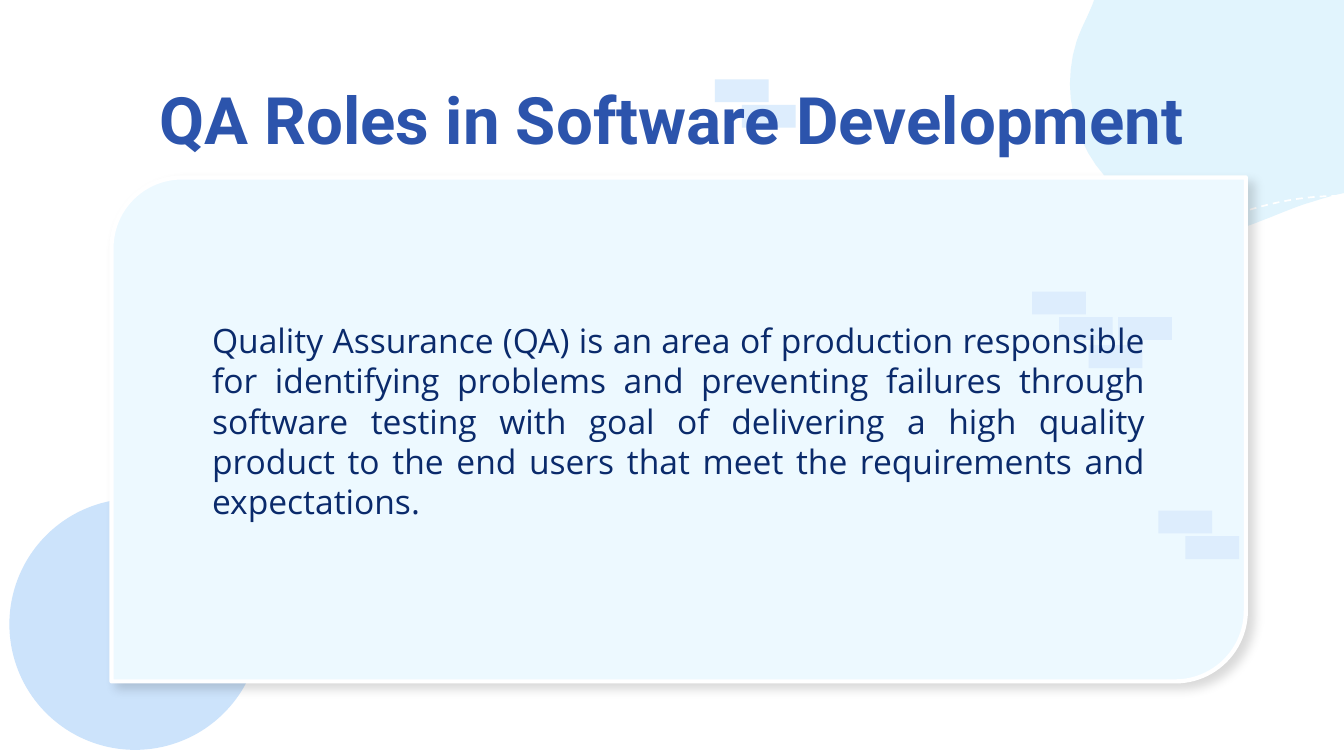
from lxml import etree
from pptx import Presentation
from pptx.dml.color import RGBColor
from pptx.enum.dml import MSO_LINE
from pptx.enum.shapes import MSO_SHAPE
from pptx.enum.text import MSO_ANCHOR, PP_ALIGN
from pptx.oxml.ns import qn
from pptx.util import Inches, Pt

RECTANGLE, OVAL = MSO_SHAPE.RECTANGLE, MSO_SHAPE.OVAL
CARD = MSO_SHAPE.ROUND_2_DIAG_RECTANGLE
TOP, MIDDLE = MSO_ANCHOR.TOP, MSO_ANCHOR.MIDDLE
CENTER, JUSTIFY = PP_ALIGN.CENTER, PP_ALIGN.JUSTIFY
DASH = MSO_LINE.DASH

TITLE = "QA Roles in Software Development"
BODY = (
    "Quality Assurance (QA) is an area of production responsible for "
    "identifying problems and preventing failures through software testing "
    "with goal of delivering a high quality product to the end users that "
    "meet the requirements and expectations."
)

THEME = {
    "blob": "E1F4FD", "disc": "CCE3FB", "card": "EDF9FF", "brick": "DDEDFD",
    "edge": "FFFFFF", "edge_width": 2.25, "dash_width": 0.9,
    "title": {"font": "Roboto", "size": 35, "color": "2C54AC", "bold": True},
    "body": {"font": "Open Sans", "size": 18, "color": "0A2A6B", "bold": False},
}

# Inches: left, top, width, height
SLIDE_SIZE = (10, 10 * 9 / 16)
DISC_BOX = (0.07, 3.71, 1.87, 1.87)
CARD_BOX = (0.83, 1.32, 8.44, 3.75)
BODY_BOX = (1.48, 2.27, 7.14, 1.72)
TITLE_BOX = (0.78, 0.49, 8.44, 0.63)

# Each wall of bricks: its corner, then the column and row of every brick
BRICK_SIZE = (0.4, 0.17)
BRICK_STEP = (0.2, 0.19)
WALLS = [
    ((8.62, 3.8), [(1, 1), (0, 0)]),
    ((5.32, 0.59), [(1, 1), (0, 0)]),
    ((7.68, 2.17), [(3.2, 1), (1, 1), (2.1, 2.1), (0, 0)]),
]

# Start point, then Bezier segments: two control points and an end point
CURVE_UNITS = 1000  # per inch
BLOB_START = (10.71, -1.67)
BLOB_CURVES = [
    ((10.94, -1.67), (11.16, -1.57), (11.31, -1.4)),
    ((11.54, -1.15), (11.58, -0.79), (11.54, -0.53)),
    ((11.51, -0.34), (11.45, -0.16), (11.47, 0.03)),
    ((11.49, 0.15), (11.54, 0.26), (11.58, 0.38)),
    ((11.67, 0.66), (11.59, 0.97), (11.4, 1.18)),
    ((11.25, 1.36), (11.05, 1.45), (10.8, 1.45)),
    ((10.67, 1.45), (10.53, 1.42), (10.39, 1.42)),
    ((10.18, 1.39), (9.98, 1.43), (9.77, 1.5)),
    ((9.56, 1.56), (9.36, 1.67), (9.15, 1.72)),
    ((8.93, 1.76), (8.72, 1.7), (8.52, 1.57)),
    ((8.4, 1.49), (8.31, 1.4), (8.22, 1.31)),
    ((7.98, 1.04), (7.9, 0.65), (8.01, 0.31)),
    ((8.05, 0.19), (8.12, 0.08), (8.15, -0.03)),
    ((8.26, -0.42), (7.94, -0.8), (8.11, -1.18)),
    ((8.2, -1.4), (8.4, -1.53), (8.61, -1.56)),
    ((8.86, -1.61), (9.12, -1.57), (9.35, -1.52)),
    ((9.58, -1.45), (9.82, -1.3), (10.05, -1.39)),
    ((10.19, -1.44), (10.3, -1.55), (10.44, -1.61)),
    ((10.52, -1.65), (10.62, -1.67), (10.71, -1.67)),
]
DASH_START = (9.3, 1.56)
DASH_CURVES = [((9.53, 1.49), (9.78, 1.45), (10, 1.46))]


def color(code):
    return RGBColor.from_string(code)


def curve_points(start, curves, steps=10):
    """Sample a chain of cubic Bezier segments, in curve units."""
    points = [start]
    for first, second, end in curves:
        corners = (points[-1], first, second, end)
        for step in range(1, steps + 1):
            t = step / steps
            weights = ((1 - t) ** 3, 3 * t * (1 - t) ** 2, 3 * t * t * (1 - t), t ** 3)
            points.append(tuple(
                sum(weight * corner[axis] for weight, corner in zip(weights, corners))
                for axis in (0, 1)))
    return [(round(x * CURVE_UNITS), round(y * CURVE_UNITS)) for x, y in points]


def add_curve(page, start, curves, closed):
    first, *others = curve_points(start, curves)
    builder = page.shapes.build_freeform(*first, scale=Inches(1) / CURVE_UNITS)
    builder.add_line_segments(others, close=closed)
    shape = builder.convert_to_shape()
    shape.shadow.inherit = False
    return shape


def paint(shape, fill):
    shape.fill.solid()
    shape.fill.fore_color.rgb = color(fill)
    shape.line.fill.background()


def add_preset(page, kind, place, fill):
    shape = page.shapes.add_shape(kind, *map(Inches, place))
    shape.shadow.inherit = False
    paint(shape, fill)
    return shape


def outline(shape, width):
    shape.line.color.rgb = color(THEME["edge"])
    shape.line.width = Pt(width)


def add_soft_shadow(shape):
    effects = shape._element.spPr.find(qn("a:effectLst"))
    shadow = etree.SubElement(
        effects, qn("a:outerShdw"), blurRad=str(Pt(5.6)), dist=str(Pt(4.5)),
        dir=str(44 * 60000), algn="bl", rotWithShape="0")
    black = etree.SubElement(shadow, qn("a:srgbClr"), val="000000")
    etree.SubElement(black, qn("a:alpha"), val="15000")


def add_text(page, place, text, style, align, anchor):
    box = page.shapes.add_textbox(*map(Inches, place))
    frame = box.text_frame
    frame.word_wrap = True
    frame.vertical_anchor = anchor
    frame.margin_left = frame.margin_right = Inches(0.1)
    frame.margin_top = frame.margin_bottom = Inches(0.1)
    para = frame.paragraphs[0]
    para.alignment = align
    span = para.add_run()
    span.text = text
    span.font.name = style["font"]
    span.font.size = Pt(style["size"])
    span.font.bold = style["bold"]
    span.font.color.rgb = color(style["color"])


def main():
    deck = Presentation()
    deck.slide_width, deck.slide_height = map(Inches, SLIDE_SIZE)
    page = deck.slides.add_slide(deck.slide_layouts[6])

    paint(add_curve(page, BLOB_START, BLOB_CURVES, True), THEME["blob"])
    dashes = add_curve(page, DASH_START, DASH_CURVES, False)
    dashes.fill.background()
    outline(dashes, THEME["dash_width"])
    dashes.line.dash_style = DASH

    add_preset(page, OVAL, DISC_BOX, THEME["disc"])
    card = add_preset(page, CARD, CARD_BOX, THEME["card"])
    card.adjustments[0], card.adjustments[1] = 0.14, 0
    outline(card, THEME["edge_width"])
    add_soft_shadow(card)

    for (left, top), bricks in WALLS:
        for column, row in bricks:
            corner = (left + column * BRICK_STEP[0], top + row * BRICK_STEP[1])
            add_preset(page, RECTANGLE, corner + BRICK_SIZE, THEME["brick"])

    add_text(page, BODY_BOX, BODY, THEME["body"], JUSTIFY, MIDDLE)
    add_text(page, TITLE_BOX, TITLE, THEME["title"], CENTER, TOP)
    deck.save("out.pptx")


if __name__ == "__main__":
    main()
